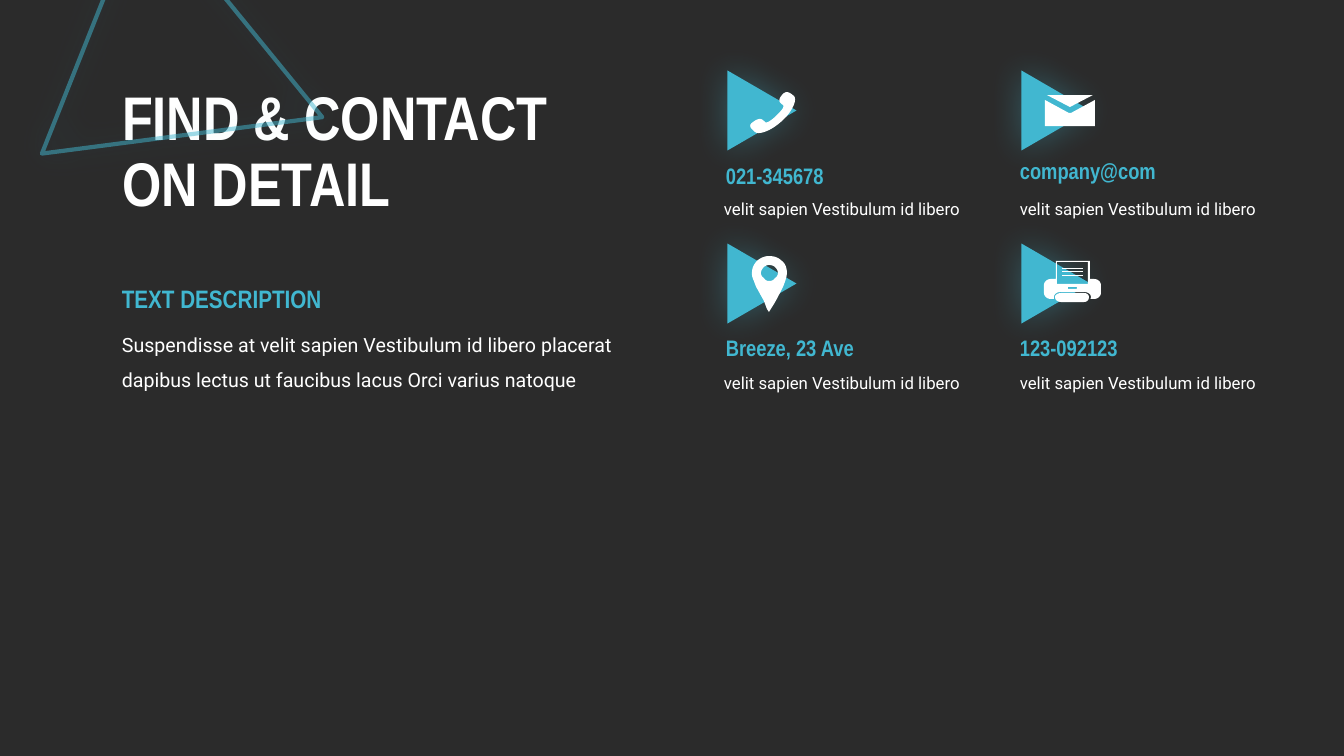
from lxml.etree import SubElement
from pptx import Presentation
from pptx.dml.color import RGBColor
from pptx.enum.shapes import MSO_SHAPE
from pptx.enum.text import MSO_ANCHOR, MSO_AUTO_SIZE, PP_ALIGN
from pptx.oxml.ns import qn
from pptx.util import Emu, Pt

CYAN = RGBColor(0x41, 0xB7, 0xD0)
WHITE = RGBColor(0xFF, 0xFF, 0xFF)
CHARCOAL = RGBColor(0x2B, 0x2B, 0x2B)
HEAD_FONT, BODY_FONT = "Arial Narrow", "Roboto"
PX = 914400 / 100.8
CURVE_STEPS = 8

# Icon outlines: a pair is a corner, six numbers are a curve (two handles, end)
PHONE = [[(783, 105), (780, 103, 777, 101, 782, 95), (787, 89, 791, 94, 794, 96),
          (797, 99, 794, 110, 782, 121), (770, 132, 758, 135, 755, 132),
          (752, 129, 747, 126, 753, 122), (760, 117, 762, 119, 765, 122),
          (766, 124, 772, 120, 776, 116), (781, 111, 785, 107, 783, 105)]]
ENVELOPE = [[(1071, 113), (1095, 100), (1095, 126), (1045, 126), (1045, 100), (1069, 113)],
            [(1093, 95), (1070, 107), (1047, 95)]]
MAP_PIN = [[(757, 261), (760, 258, 765, 256, 769, 256), (775, 256, 779, 258, 782, 261),
            (786, 264, 787, 269, 787, 273), (787, 275, 786, 280, 783, 287),
            (780, 293, 777, 299, 774, 304), (769, 312), (767, 309), (764, 301),
            (762, 297, 760, 294, 758, 290), (756, 287, 755, 284, 754, 281),
            (752, 277, 752, 275, 752, 273), (752, 268, 754, 264, 757, 261)],
           [(764, 278), (765, 280, 767, 281, 769, 281), (772, 281, 774, 280, 775, 278),
            (777, 277, 778, 275, 778, 273), (778, 271, 777, 269, 775, 267),
            (774, 266, 772, 265, 769, 265), (767, 265, 765, 266, 764, 267),
            (762, 269, 761, 271, 761, 273), (761, 275, 762, 277, 764, 278)]]
PRINTER_TRAY = [[(1084, 293), (1061, 293), (1058, 293, 1055, 295, 1055, 297),
                 (1055, 300, 1058, 302, 1061, 302), (1084, 302),
                 (1087, 302, 1089, 300, 1089, 297), (1089, 295, 1087, 293, 1084, 293)]]
PRINTER_BODY = [[(1094, 279), (1090, 279), (1090, 261), (1056, 261), (1056, 279), (1051, 279),
                 (1047, 279, 1044, 282, 1044, 285), (1044, 293),
                 (1044, 296, 1047, 299, 1051, 299), (1054, 299),
                 (1054, 299, 1054, 298, 1054, 297), (1054, 294, 1057, 292, 1061, 292),
                 (1084, 292), (1088, 292, 1091, 294, 1091, 297),
                 (1091, 298, 1091, 299, 1090, 299), (1094, 299),
                 (1098, 299, 1101, 296, 1101, 293), (1101, 285),
                 (1101, 282, 1098, 279, 1094, 279)],
                [(1057, 262), (1088, 262), (1088, 284), (1057, 284)],
                [(1068, 287), (1077, 287), (1077, 289), (1068, 289)]]
PRINTED_LINES = [[[(1062, y), (1083, y), (1083, y + 1), (1062, y + 1)]] for y in (268, 271, 275)]
PRINTER = [PRINTER_TRAY, PRINTER_BODY, *PRINTED_LINES]


def px(length):
    return Emu(round(length * PX))


def flatten(contour):
    """Turn corners and curves into a list of points in EMU."""
    points = [contour[0]]
    for step in contour[1:]:
        if len(step) == 2:
            points.append(step)
            continue
        nodes = [points[-1], step[:2], step[2:4], step[4:]]
        for i in range(1, CURVE_STEPS + 1):
            t = i / CURVE_STEPS
            weights = ((1 - t) ** 3, 3 * t * (1 - t) ** 2, 3 * t * t * (1 - t), t ** 3)
            points.append(tuple(sum(w * node[axis] for w, node in zip(weights, nodes))
                                for axis in (0, 1)))
    return [(px(x), px(y)) for x, y in points]


class SlideBuilder:
    def __init__(self, deck):
        self.page = deck.slides.add_slide(deck.slide_layouts[0])
        self.shapes = self.page.shapes
        self.page.background.fill.solid()
        self.page.background.fill.fore_color.rgb = CHARCOAL
        subtitle = self.page.placeholders[1]
        subtitle._element.getparent().remove(subtitle._element)

    def add_span(self, para, words, size, font, color, bold):
        span = para.add_run()
        span.text = words
        span.font.size, span.font.name, span.font.bold = Pt(size), font, bold
        span.font.color.rgb = color

    def title(self, lines, left, top, width, height):
        box = self.shapes.title
        box.left, box.top, box.width, box.height = map(px, (left, top, width, height))
        frame = box.text_frame
        frame.vertical_anchor = MSO_ANCHOR.MIDDLE
        frame.auto_size = MSO_AUTO_SIZE.NONE
        para = frame.paragraphs[0]
        para.alignment, para.line_spacing = PP_ALIGN.LEFT, 0.9
        for number, line in enumerate(lines):
            if number:
                para.add_line_break()
            self.add_span(para, line, 44, HEAD_FONT, WHITE, True)

    def text(self, words, left, top, width, height, size, heading=False):
        frame = self.shapes.add_textbox(*map(px, (left, top, width, height))).text_frame
        frame.word_wrap = True
        frame.auto_size = MSO_AUTO_SIZE.SHAPE_TO_FIT_TEXT
        para = frame.paragraphs[0]
        if heading:
            self.add_span(para, words, size, HEAD_FONT, CYAN, True)
        else:
            para.line_spacing = 1.5
            self.add_span(para, words, size, BODY_FONT, WHITE, False)

    def glow(self, shape):
        shape.shadow.inherit = False
        effects = shape._element.spPr.find(qn("a:effectLst"))
        shadow = SubElement(effects, qn("a:outerShdw"), blurRad=str(Pt(25)), dist="0",
                            dir="0", algn="ctr", rotWithShape="0")
        color = SubElement(shadow, qn("a:srgbClr"), val=str(CYAN))
        SubElement(color, qn("a:alpha"), val="35000")

    def triangle(self, left, top, width, height, angle, outlined=False):
        shape = self.shapes.add_shape(MSO_SHAPE.ISOSCELES_TRIANGLE,
                                      *map(px, (left, top, width, height)))
        shape.rotation = angle
        if outlined:
            shape.fill.background()
            shape.line.color.rgb = CYAN
            shape.line.width = Pt(3)
            color = shape.line._ln.find(".//" + qn("a:srgbClr"))
            SubElement(color, qn("a:alpha"), val="50000")
        else:
            shape._element.spPr.xfrm.set("flipH", "1")
            shape.fill.solid()
            shape.fill.fore_color.rgb = CYAN
            shape.line.fill.background()
        self.glow(shape)

    def icon(self, parts):
        target = self.shapes.add_group_shape().shapes if len(parts) > 1 else self.shapes
        for contours in parts:
            first, *others = map(flatten, contours)
            outline = target.build_freeform(*first[0], scale=1.0)
            outline.add_line_segments(first[1:], close=True)
            for points in others:
                outline.move_to(*points[0])
                outline.add_line_segments(points[1:], close=True)
            shape = outline.convert_to_shape()
            shape.shadow.inherit = False
            shape.fill.solid()
            shape.fill.fore_color.rgb = WHITE
            shape.line.fill.background()


def main():
    deck = Presentation()
    deck.slide_width, deck.slide_height = px(1344), px(756)
    slide = SlideBuilder(deck)

    # Title and description
    slide.triangle(70, -52, 275, 247, 111.7, outlined=True)
    slide.title(["FIND & CONTACT", "ON DETAIL"], 112, 74, 567, 159)
    slide.text("Suspendisse at velit sapien Vestibulum id libero placerat dapibus lectus "
               "ut faucibus lacus Orci varius natoque", 112, 316, 517, 78, 14)
    slide.text("TEXT DESCRIPTION", 112, 278, 247, 40, 18, heading=True)

    # Contact grid: left edges of triangle, label and note; tops of triangle and note
    columns = [(722, 716, 714), (1016, 1010, 1010)]
    rows = [(76, 184), (249, 358)]
    contacts = [
        (0, 0, "021-345678", 157, [PHONE]),
        (1, 0, "company@com", 152, [ENVELOPE]),
        (0, 1, "Breeze, 23 Ave", 329, [MAP_PIN]),
        (1, 1, "123-092123", 329, PRINTER),
    ]
    for column, row, label, label_top, icon in contacts:
        triangle_left, label_left, note_left = columns[column]
        triangle_top, note_top = rows[row]
        slide.triangle(triangle_left, triangle_top, 80, 69, 90)
        slide.icon(icon)
        slide.text(label, label_left, label_top, 190, 37, 16, heading=True)
        slide.text("velit sapien Vestibulum id libero", note_left, note_top, 267, 37, 12)

    deck.save("out.pptx")


if __name__ == "__main__":
    main()
